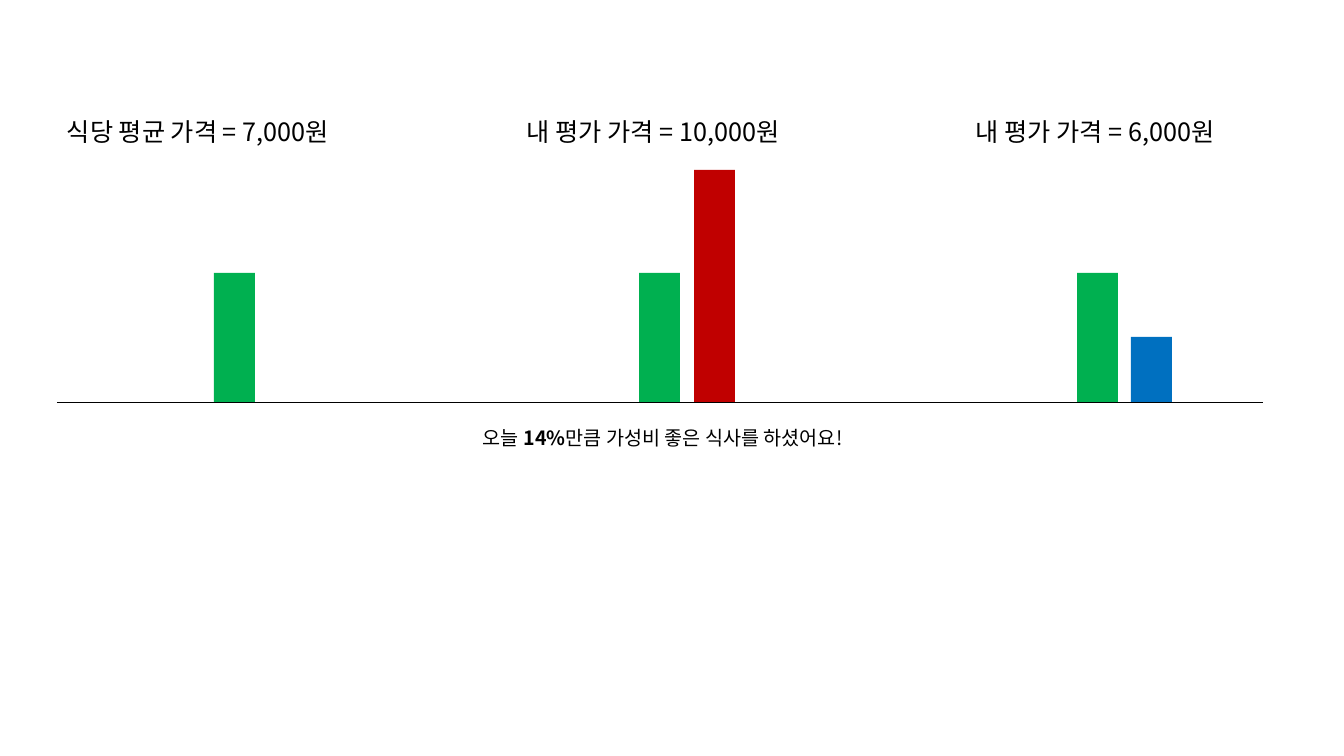
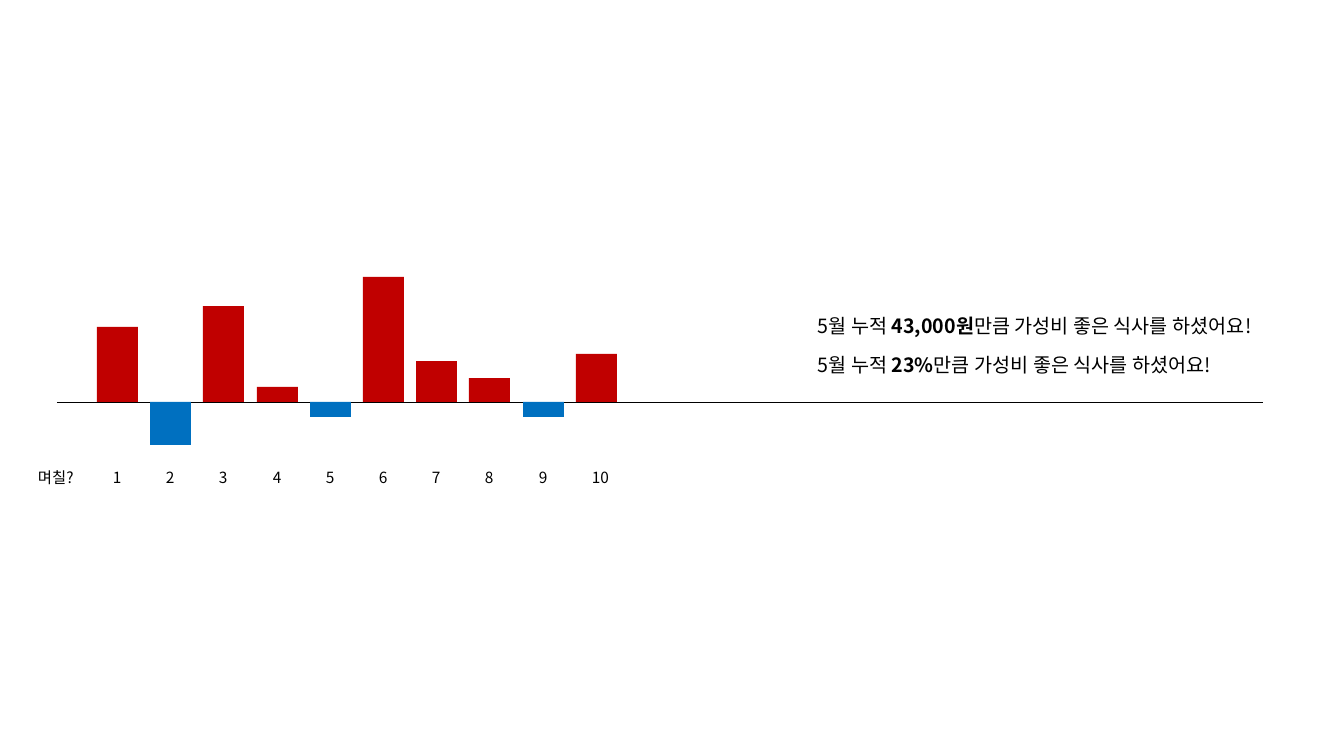
import pptx
import pptx.dml.color
import pptx.enum.shapes
import pptx.enum.text
import pptx.oxml.ns
import pptx.util
import lxml.etree

COLORS = {
    "text": "000000",
    "average": "00B050",
    "gain": "C00000",
    "loss": "0070C0",
}
FONT = "Noto Sans CJK KR"
SCALE = 914400 / 100.8
BASELINE = 402
BAR_WIDTH = 41


def px(length):
    return pptx.util.Emu(round(length * SCALE))


def rgb(name):
    return pptx.dml.color.RGBColor.from_string(COLORS[name])


class Slides:
    def __init__(self):
        self.deck = pptx.Presentation()
        self.deck.slide_width = px(1344)
        self.deck.slide_height = px(756)
        self.page = None

    def new_page(self):
        """Start a blank page with the shared zero line."""
        self.page = self.deck.slides.add_slide(self.deck.slide_layouts[6])
        line = self.page.shapes.add_connector(
            pptx.enum.shapes.MSO_CONNECTOR.STRAIGHT,
            px(57), px(BASELINE), px(1263), px(BASELINE))
        line.line.color.rgb = rgb("text")
        line.line.width = pptx.util.Pt(0.5)
        properties = line._element.spPr
        lxml.etree.SubElement(properties, pptx.oxml.ns.qn("a:effectLst"))

    def bar(self, left, height, color):
        """Draw a bar up from the zero line, or down if height is negative."""
        top = BASELINE - max(height, 0)
        box = self.page.shapes.add_shape(
            pptx.enum.shapes.MSO_SHAPE.RECTANGLE,
            px(left), px(top), px(BAR_WIDTH), px(abs(height)))
        box.shadow.inherit = False
        box.fill.solid()
        box.fill.fore_color.rgb = rgb(color)
        box.line.fill.background()

    def text(self, left, top, width, height, size, *parts):
        """Write one line; every second part is bold."""
        box = self.page.shapes.add_textbox(px(left), px(top), px(width), px(height))
        frame = box.text_frame
        frame.word_wrap = False
        frame.auto_size = pptx.enum.text.MSO_AUTO_SIZE.SHAPE_TO_FIT_TEXT
        para = frame.paragraphs[0]
        for index, part in enumerate(parts):
            span = para.add_run()
            span.text = part
            span.font.size = pptx.util.Pt(size)
            span.font.bold = index % 2 == 1
            span.font.color.rgb = rgb("text")
            span.font.name = FONT
            east_asian = lxml.etree.SubElement(
                span.font._element, pptx.oxml.ns.qn("a:ea"))
            east_asian.set("typeface", FONT)

    def heading(self, left, width, words):
        self.text(left, 111, width, 40, 18, words)

    def message(self, left, top, width, start, amount):
        self.text(left, top, width, 34, 14, start, amount,
                  "만큼 가성비 좋은 식사를 하셨어요!")

    def axis_label(self, left, width, words):
        self.text(left, 463, width, 29, 11, words)


slides = Slides()

# Page 1: average price against my own valuation
slides.new_page()
slides.heading(57, 313, "식당 평균 가격 = 7,000원")
slides.heading(517, 302, "내 평가 가격 = 10,000원")
slides.heading(966, 288, "내 평가 가격 = 6,000원")
for left in (214, 639, 1077):
    slides.bar(left, 129, "average")
slides.bar(694, 232, "gain")
slides.bar(1131, 65, "loss")
slides.message(473, 421, 415, "오늘 ", "14%")

# Page 2: daily gains and losses with the monthly totals
slides.new_page()
daily_heights = [75, -43, 96, 15, -15, 125, 41, 24, -15, 48]
for day, height in enumerate(daily_heights, start=1):
    left = 97 + round((day - 1) * 53.2)
    slides.bar(left, height, "gain" if height > 0 else "loss")
    slides.axis_label(left + 6, 29 if day < 10 else 37, str(day))
slides.axis_label(28, 58, "며칠?")
slides.message(808, 309, 494, "5월 누적 ", "43,000원")
slides.message(808, 348, 454, "5월 누적 ", "23%")

slides.deck.save("out.pptx")
